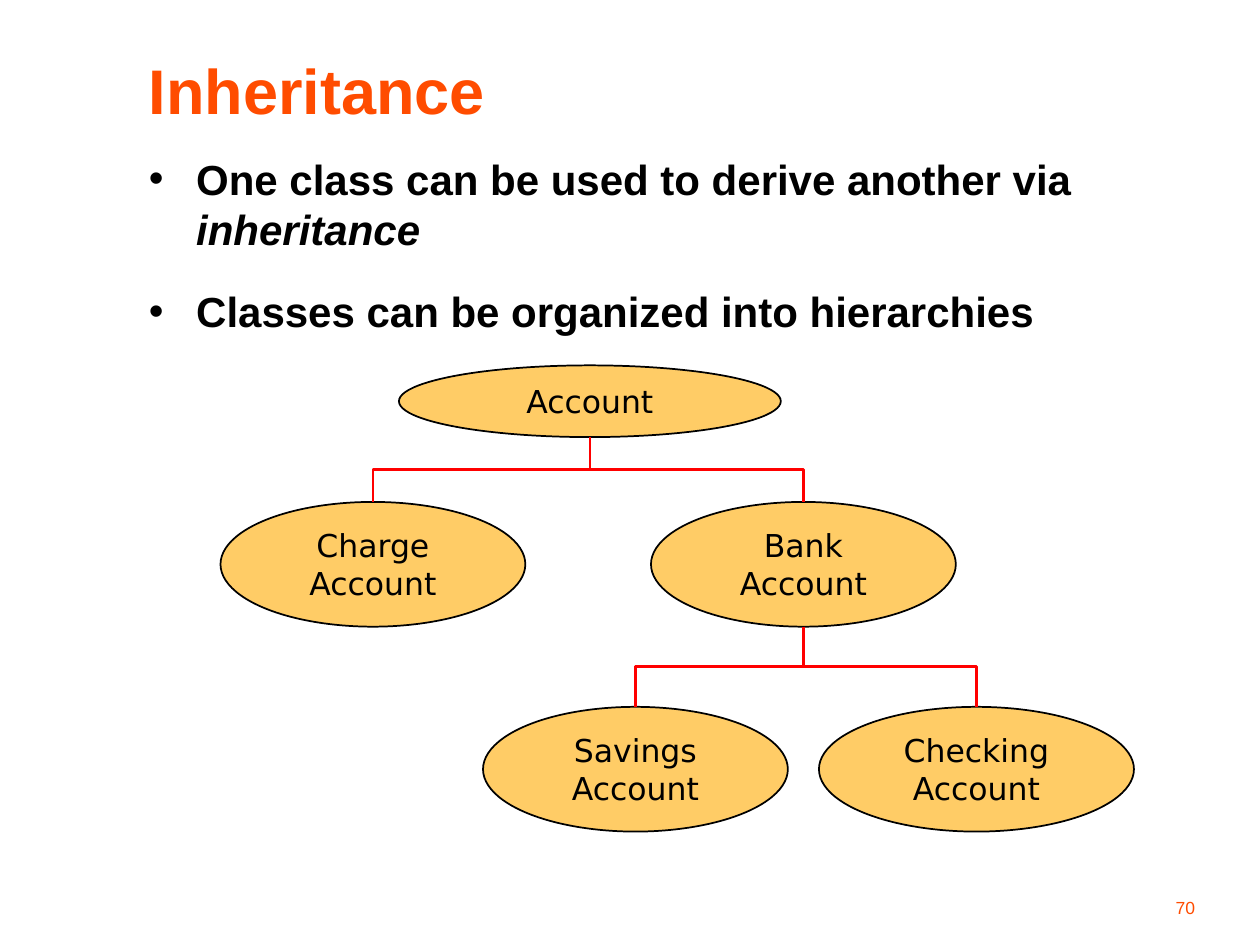
"""Build the Inheritance slide with a class hierarchy diagram."""
import dataclasses

import lxml.etree
import pptx
import pptx.dml.color
import pptx.enum.shapes
import pptx.enum.text
import pptx.oxml.ns
import pptx.util

Pt = pptx.util.Pt
Align = pptx.enum.text.PP_ALIGN
Anchor = pptx.enum.text.MSO_ANCHOR


@dataclasses.dataclass(frozen=True)
class Theme:
    """Colours, fonts and type sizes of the slide."""
    accent: str = "FF4C00"
    ink: str = "000000"
    node_fill: str = "FFCC66"
    link: str = "FF0000"
    font: str = "Arial"
    node_font: str = "DejaVu Sans"
    title_size: float = 36
    body_size: float = 24
    node_size: float = 18
    number_size: float = 10


THEME = Theme()


@dataclasses.dataclass(frozen=True)
class Box:
    """A rectangle in points."""
    left: float
    top: float
    width: float
    height: float

    @property
    def center(self):
        """Return the horizontal centre."""
        return self.left + self.width / 2

    @property
    def bottom(self):
        """Return the lower edge."""
        return self.top + self.height

    def inside(self, left, top, width, height):
        """Return a box whose position is relative to this one."""
        return Box(self.left + left, self.top + top, width, height)

    def lengths(self):
        """Return the four lengths for python-pptx."""
        return [Pt(value) for value in (self.left, self.top, self.width, self.height)]


def color(value):
    """Return a colour from its hexadecimal value."""
    return pptx.dml.color.RGBColor.from_string(value)


def add_child(parent, tag, **attributes):
    """Append a DrawingML element with the given attributes."""
    child = lxml.etree.SubElement(parent, pptx.oxml.ns.qn(tag))
    for name, value in attributes.items():
        child.set(name, value)
    return child


def add_bullet(paragraph, indent):
    """Give a paragraph a round bullet and a hanging indent."""
    properties = paragraph._p.get_or_add_pPr()
    properties.set("marL", str(Pt(indent)))
    properties.set("indent", str(-Pt(indent)))
    add_child(add_child(properties, "a:buClr"), "a:srgbClr", val=THEME.ink)
    add_child(properties, "a:buFont", typeface=THEME.font)
    add_child(properties, "a:buChar", char="•")


def write_text(shape, paragraphs, size, ink=THEME.ink, font=THEME.font, bold=False,
               align=Align.LEFT, anchor=Anchor.TOP, bullet_indent=0, gap=0):
    """Fill a shape with paragraphs, each a list of (text, italic) runs."""
    frame = shape.text_frame
    frame.word_wrap = True
    frame.vertical_anchor = anchor
    for index, runs in enumerate(paragraphs):
        paragraph = frame.add_paragraph() if index else frame.paragraphs[0]
        if bullet_indent:
            add_bullet(paragraph, bullet_indent)
        paragraph.alignment = align
        if index:
            paragraph.space_before = Pt(gap)
        for text, italic in runs:
            run = paragraph.add_run()
            run.text = text
            run.font.name = font
            run.font.size = Pt(size)
            run.font.bold = bold
            run.font.italic = italic
            run.font.color.rgb = color(ink)


def add_title(slide, box):
    """Place the slide title."""
    write_text(slide.shapes.add_textbox(*box.lengths()), [[("Inheritance", False)]],
               THEME.title_size, ink=THEME.accent, bold=True, anchor=Anchor.MIDDLE)


def add_body(slide, box):
    """Place the bulleted statements."""
    statements = [
        [("One class can be used to derive another via ", False), ("inheritance", True)],
        [("Classes can be organized into hierarchies", False)],
    ]
    write_text(slide.shapes.add_textbox(*box.lengths()), statements,
               THEME.body_size, bold=True, bullet_indent=27, gap=18)


def add_node(slide, box, label):
    """Place one class as a labelled ellipse."""
    shape = slide.shapes.add_shape(pptx.enum.shapes.MSO_SHAPE.OVAL, *box.lengths())
    shape.shadow.inherit = False
    shape.fill.solid()
    shape.fill.fore_color.rgb = color(THEME.node_fill)
    shape.line.color.rgb = color(THEME.ink)
    shape.line.width = Pt(1)
    write_text(shape, [[(label, False)]], THEME.node_size, font=THEME.node_font,
               align=Align.CENTER, anchor=Anchor.MIDDLE)


def add_link(slide, parent, child):
    """Join the bottom of a parent to the top of a child with a turned elbow."""
    drop = child.top - parent.bottom
    spread = abs(child.center - parent.center)
    middle_x = (parent.center + child.center) / 2
    middle_y = (parent.bottom + child.top) / 2
    toward_right = child.center > parent.center
    half = -drop / 2 if toward_right else drop / 2
    connector = slide.shapes.add_connector(
        pptx.enum.shapes.MSO_CONNECTOR.ELBOW,
        Pt(middle_x - half), Pt(middle_y - spread / 2),
        Pt(middle_x + half), Pt(middle_y + spread / 2))
    connector.line.color.rgb = color(THEME.link)
    connector.line.width = Pt(1.5)
    properties = connector._element.spPr
    degrees = 270 if toward_right else 90
    properties.find(pptx.oxml.ns.qn("a:xfrm")).set("rot", str(degrees * 60000))
    add_child(properties, "a:effectLst")


def add_hierarchy(slide, box):
    """Place the class tree with its links."""
    width, height, second_row, third_row = 174.2, 71.3, 78, 195.1
    nodes = {
        "Account": box.inside(102, 0, 218.2, 41),
        "Charge Account": box.inside(0, second_row, width, height),
        "Bank Account": box.inside(246, second_row, width, height),
        "Savings Account": box.inside(150, third_row, width, height),
        "Checking Account": box.inside(342, third_row, 180, height),
    }
    links = [
        ("Account", "Charge Account"),
        ("Account", "Bank Account"),
        ("Bank Account", "Savings Account"),
        ("Bank Account", "Checking Account"),
    ]
    for label, place in nodes.items():
        add_node(slide, place, label)
    for parent, child in links:
        add_link(slide, nodes[parent], nodes[child])


def add_page_number(slide, box):
    """Place the page number."""
    write_text(slide.shapes.add_textbox(*box.lengths()), [[("70", False)]],
               THEME.number_size, ink=THEME.accent, align=Align.RIGHT,
               anchor=Anchor.BOTTOM)


def main():
    """Build and save the presentation."""
    presentation = pptx.Presentation()
    presentation.slide_width, presentation.slide_height = Pt(720), Pt(540)
    slide = presentation.slides.add_slide(presentation.slide_layouts[6])
    add_title(slide, Box(78, 24, 624, 54))
    add_body(slide, Box(78, 84, 624, 144))
    add_hierarchy(slide, Box(126, 208.8, 522, 266.4))
    add_page_number(slide, Box(540, 498, 150, 30))
    presentation.save("out.pptx")


if __name__ == "__main__":
    main()
